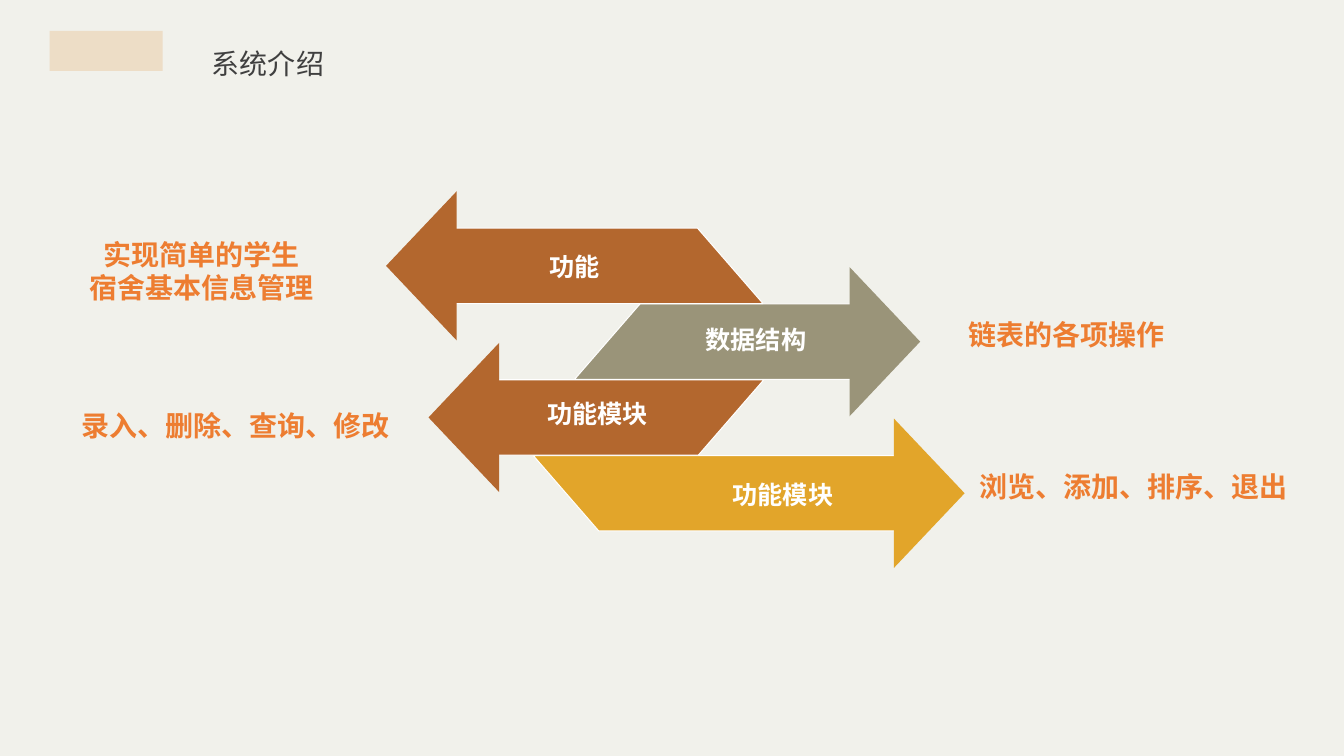
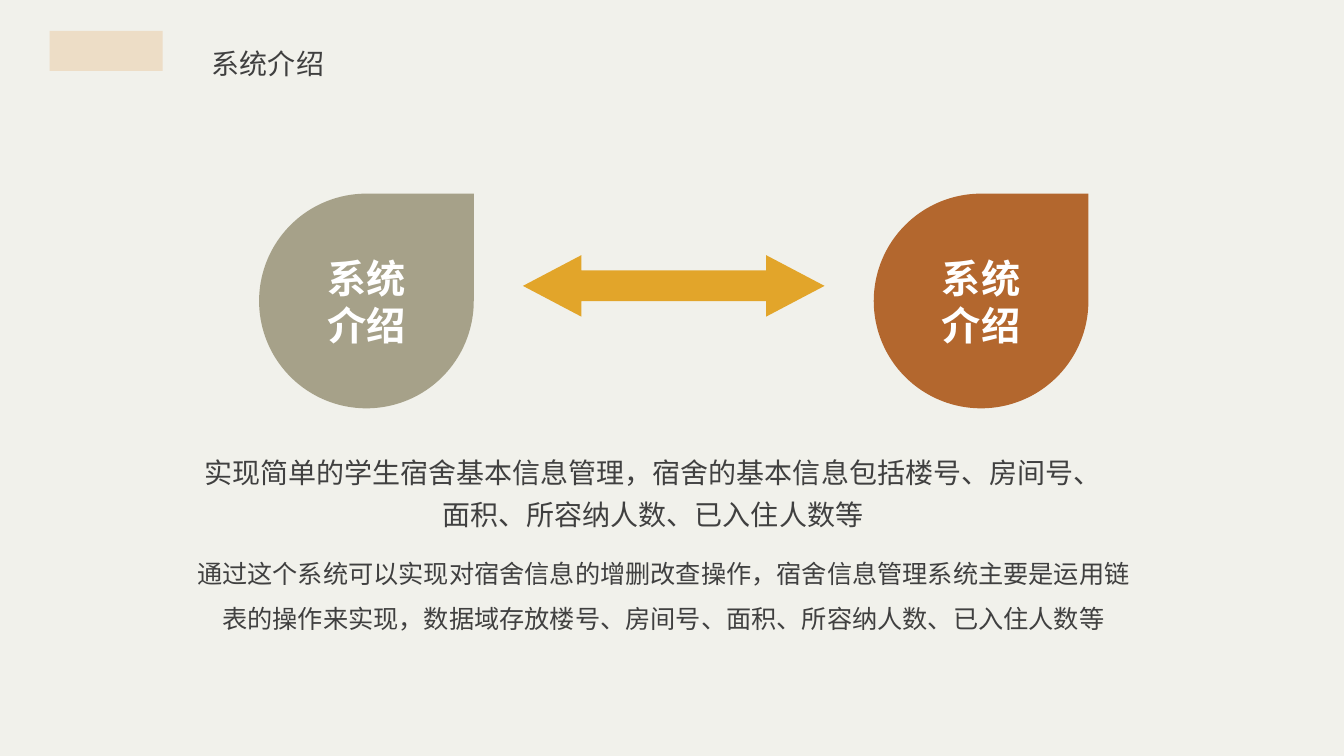
from lxml import etree
from pptx import Presentation
from pptx.dml import color
from pptx.enum import shapes, text
from pptx.oxml import ns
from pptx.util import Cm, Pt

FONT = "Noto Sans CJK SC"
PAPER, SAND, INK, WHITE = "F1F1EB", "EDDDC6", "404040", "FFFFFF"
RUST, OLIVE, GOLD, ORANGE = "B3672E", "9A9479", "E2A52A", "ED7D31"


def paint(target, hex_color):
    target.fill.solid()
    target.fill.fore_color.rgb = color.RGBColor.from_string(hex_color)


def write(shape, lines, size, hex_color, bold=False, spacing=1.0, anchor="TOP", inset=True, wrap=True):
    frame = shape.text_frame
    frame.word_wrap = wrap
    frame.auto_size = text.MSO_AUTO_SIZE.NONE
    frame.vertical_anchor = text.MSO_ANCHOR[anchor]
    frame.margin_left = frame.margin_right = Cm(0.25 if inset else 0)
    frame.margin_top = frame.margin_bottom = Cm(0.13 if inset else 0)
    for index, line in enumerate(lines):
        paragraph = frame.add_paragraph() if index else frame.paragraphs[0]
        paragraph.alignment = text.PP_ALIGN.CENTER
        paragraph.line_spacing = spacing
        paragraph.space_before = Pt(0)
        run = paragraph.add_run()
        run.text = line
        run.font.size = Pt(size)
        run.font.bold = bold
        run.font.name = FONT
        paint(run.font, hex_color)
        east_asian = etree.SubElement(run.font._element, ns.qn("a:ea"))
        east_asian.set("typeface", FONT)


presentation = Presentation()
presentation.slide_width, presentation.slide_height = Cm(33.87), Cm(19.05)
paint(presentation.slide_master.background, PAPER)

slides = []
for title in ["系统介绍", "系统介绍"]:
    slide = presentation.slides.add_slide(presentation.slide_layouts[5])
    slides.append(slide)
    band = slide.shapes.add_shape(shapes.MSO_SHAPE.RECTANGLE, Cm(1.25), Cm(0.78), Cm(2.85), Cm(1.01))
    band.shadow.inherit = False
    paint(band, SAND)
    band.line.fill.background()
    heading = slide.shapes.title
    heading.left, heading.top, heading.width, heading.height = Cm(2.31), Cm(0.61), Cm(8.89), Cm(1.4)
    write(heading, [title], 20, INK, spacing=1.5)
arrow_slide, system_slide = slides

HEAD_LENGTH, HEAD_HALF, BODY_HALF = 1.78, 1.88, 0.95
SLANT, OVERLAP, FIRST_CENTER, PITCH = 1.65, 0.18, 6.7, 1.91
arrows = [
    (RUST, 9.73, 17.58, 19.23),
    (OLIVE, 23.19, 16.13, 14.48),
    (RUST, 10.8, 19.25, 17.6),
    (GOLD, 24.31, 13.44, 15.09),
]
for row, (fill, tip, end_top, end_bottom) in reversed(list(enumerate(arrows))):
    center = FIRST_CENTER + row * PITCH
    direction = 1 if tip < end_top else -1
    neck = tip + direction * HEAD_LENGTH
    start = neck - direction * OVERLAP
    top, bottom = center - BODY_HALF, center + BODY_HALF
    body = [(start, top), (end_top, top), (end_bottom, bottom), (start, bottom)]
    head = [(tip, center), (neck, center - HEAD_HALF), (neck, center + HEAD_HALF)]
    for outline in (body, head):
        points = [(Cm(x), Cm(y)) for x, y in outline]
        builder = arrow_slide.shapes.build_freeform(*points[0])
        builder.add_line_segments(points[1:], close=True)
        part = builder.convert_to_shape()
        part.shadow.inherit = False
        paint(part, fill)
        if outline is body:
            paint(part.line, WHITE)
            part.line.width = Pt(0.75)
        else:
            part.line.fill.background()

arrow_labels = [
    ("功能", 12.12, 6.2),
    ("数据结构", 16.69, 8.05),
    ("功能模块", 12.7, 9.91),
    ("功能模块", 17.37, 11.96),
]
for label, left, top in arrow_labels:
    box = arrow_slide.shapes.add_textbox(Cm(left), Cm(top), Cm(4.72), Cm(1.03))
    write(box, [label], 18, WHITE, bold=True)

callouts = [
    (["实现简单的学生", "宿舍基本信息管理"], 1.52, 5.36, 7.14, 2.31),
    (["录入、删除、查询、修改"], 3.18, 9.96, 5.51, 1.17),
    (["链表的各项操作"], 24.13, 7.67, 5.51, 1.17),
    (["浏览、添加、排序、退出"], 25.81, 11.51, 5.51, 1.17),
]
for lines, *place in callouts:
    box = arrow_slide.shapes.add_textbox(*map(Cm, place))
    write(box, lines, 20, ORANGE, bold=True, anchor="BOTTOM", inset=False, wrap=False)

for fill, left, opacity in [(OLIVE, 6.53, 85), (RUST, 22.02, 100)]:
    drop = system_slide.shapes.add_shape(shapes.MSO_SHAPE.TEAR, Cm(left), Cm(4.88), Cm(5.41), Cm(5.41))
    drop.shadow.inherit = False
    paint(drop, fill)
    drop.line.fill.background()
    if opacity < 100:
        fill_color = drop._element.spPr.find(ns.qn("a:solidFill"))[0]
        etree.SubElement(fill_color, ns.qn("a:alpha")).set("val", str(opacity * 1000))
    write(drop, ["系统", "介绍"], 28, WHITE, bold=True, anchor="MIDDLE", inset=False)

double_arrow = system_slide.shapes.add_shape(
    shapes.MSO_SHAPE.LEFT_RIGHT_ARROW, Cm(13.18), Cm(6.43), Cm(7.6), Cm(1.55))
double_arrow.shadow.inherit = False
paint(double_arrow, GOLD)
double_arrow.line.fill.background()
double_arrow.adjustments[0] = 0.5
double_arrow.adjustments[1] = 0.95

descriptions = [
    ("实现简单的学生宿舍基本信息管理，宿舍的基本信息包括楼号、房间号、面积、所容纳人数、已入住人数等",
     4.67, 11.15, 2.29, 20, 1.25, True),
    ("通过这个系统可以实现对宿舍信息的增删改查操作，宿舍信息管理系统主要是运用链表的操作来实现，"
     "数据域存放楼号、房间号、面积、所容纳人数、已入住人数等",
     4.93, 13.69, 1.47, 18, 1.5, False),
]
for description, left, top, height, size, spacing, inset in descriptions:
    box = system_slide.shapes.add_textbox(Cm(left), Cm(top), Cm(23.57), Cm(height))
    write(box, [description], size, INK, spacing=spacing, inset=inset)

presentation.save("out.pptx")
